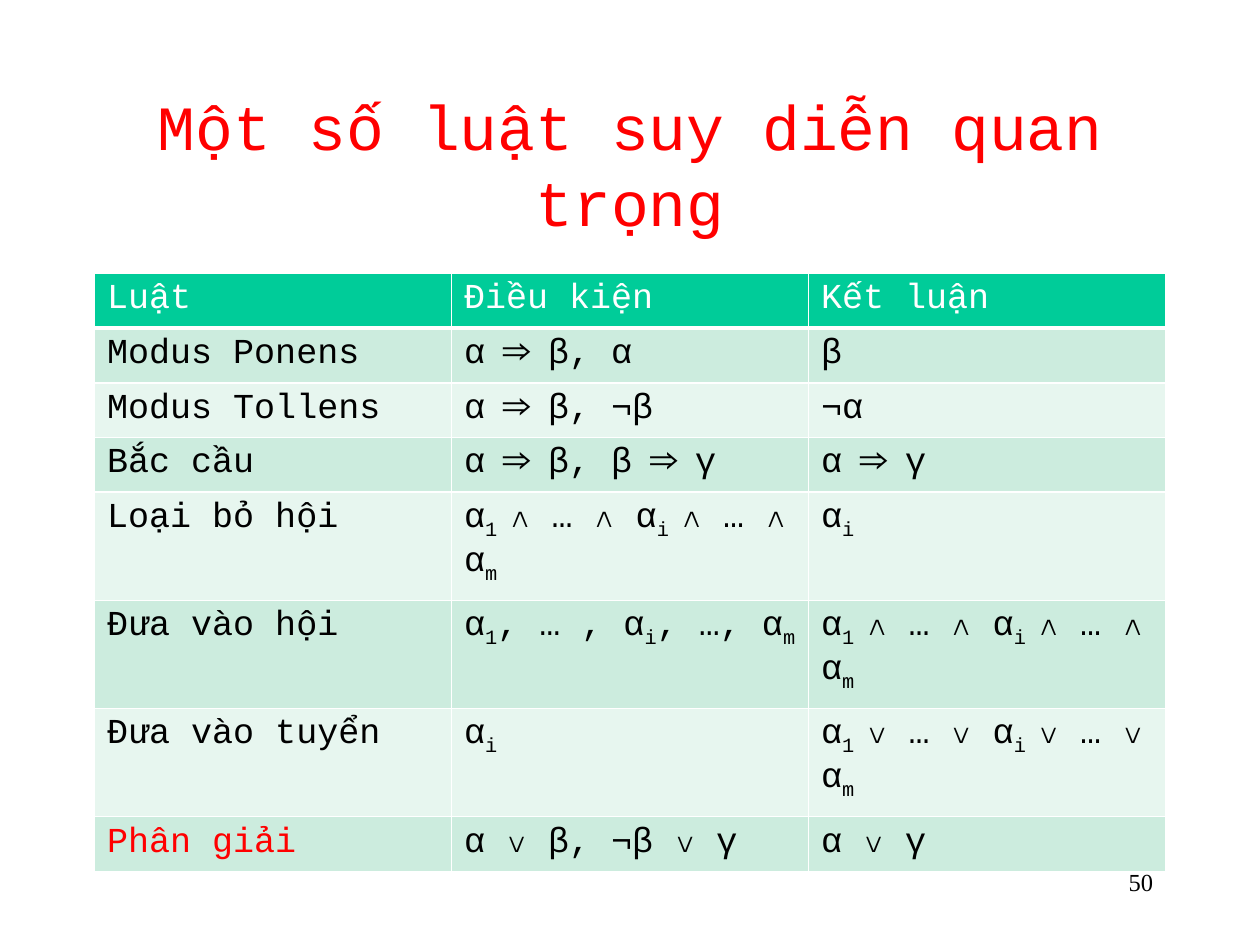
from lxml import etree
from pptx import Presentation
from pptx.dml.color import RGBColor
from pptx.enum.text import MSO_ANCHOR, PP_ALIGN
from pptx.oxml.ns import qn
from pptx.util import Inches, Pt

LEFT, CENTER, RIGHT = PP_ALIGN.LEFT, PP_ALIGN.CENTER, PP_ALIGN.RIGHT
TOP, MIDDLE = MSO_ANCHOR.TOP, MSO_ANCHOR.MIDDLE

RED = RGBColor(0xFF, 0x00, 0x00)
BLACK = RGBColor(0x00, 0x00, 0x00)
WHITE = RGBColor(0xFF, 0xFF, 0xFF)
GREEN = RGBColor(0x00, 0xCC, 0x99)
BANDS = (RGBColor(0xE7, 0xF6, 0xEF), RGBColor(0xCC, 0xEC, 0xDE))

SUBSCRIPT_MARK = "|"
CONJUNCTION = "α|1 |∧ … ∧ α|i |∧ … ∧ α|m"
DISJUNCTION = CONJUNCTION.replace("∧", "∨")
RULES = [
    ("Luật", "Điều kiện", "Kết luận"),
    ("Modus Ponens", "α ⇒ β, α", "β"),
    ("Modus Tollens", "α ⇒ β, ¬β", "¬α"),
    ("Bắc cầu", "α ⇒ β, β ⇒ γ", "α ⇒ γ"),
    ("Loại bỏ hội", CONJUNCTION, "α|i"),
    ("Đưa vào hội", "α|1|, … , α|i|, …, α|m", CONJUNCTION),
    ("Đưa vào tuyển", "α|i", DISJUNCTION),
    ("Phân giải", "α ∨ β, ¬β ∨ γ", "α ∨ γ"),
]
HIGHLIGHT = "Phân giải"


class SlideBuilder:
    code_font = "Courier New"
    number_font = "Times New Roman"
    table_size = 20

    def __init__(self, slide):
        self.slide = slide

    def set_text(self, paragraph, text, size, color, font_name, align=LEFT):
        paragraph.alignment = align
        font = paragraph.font
        font.name, font.size, font.bold = font_name, Pt(size), False
        font.color.rgb = color
        for index, part in enumerate(text.split(SUBSCRIPT_MARK)):
            run = paragraph.add_run()
            run.text = part
            if index % 2:
                run._r.get_or_add_rPr().set("baseline", "-25000")

    def text(self, box, text, size, color, font_name, align, anchor=TOP):
        shape = self.slide.shapes.add_textbox(*map(Inches, box))
        frame = shape.text_frame
        frame.word_wrap = True
        frame.vertical_anchor = anchor
        self.set_text(frame.paragraphs[0], text, size, color, font_name, align)

    def borders(self, cell, top_width, bottom_width):
        properties = cell._tc.get_or_add_tcPr()
        widths = {"a:lnL": 1, "a:lnR": 1, "a:lnT": top_width, "a:lnB": bottom_width}
        for tag, width in widths.items():
            line = etree.SubElement(properties, qn(tag), w=str(int(Pt(width))))
            fill = etree.SubElement(line, qn("a:solidFill"))
            etree.SubElement(fill, qn("a:srgbClr"), val=str(WHITE))

    def table(self, box, rows):
        shape = self.slide.shapes.add_table(
            len(rows), len(rows[0]), *map(Inches, box))
        for row_index, row in enumerate(rows):
            header = row_index == 0
            for column_index, text in enumerate(row):
                cell = shape.table.cell(row_index, column_index)
                self.borders(cell, 3 if row_index == 1 else 1, 3 if header else 1)
                cell.fill.solid()
                cell.fill.fore_color.rgb = GREEN if header else BANDS[row_index % 2]
                color = WHITE if header else RED if text == HIGHLIGHT else BLACK
                self.set_text(cell.text_frame.paragraphs[0], text,
                              self.table_size, color, self.code_font)


presentation = Presentation()
presentation.slide_width = Inches(10)
presentation.slide_height = Inches(7.5)
builder = SlideBuilder(presentation.slides.add_slide(presentation.slide_layouts[6]))
builder.text((0.75, 0.67, 8.5, 1.25), "Một số luật suy diễn quan trọng",
             36, RED, builder.code_font, CENTER, MIDDLE)
builder.text((7.17, 6.83, 2.08, 0.5), "50", 14, BLACK, builder.number_font, RIGHT)
builder.table((0.75, 2.17, 8.5, 3.47), RULES)
presentation.save("out.pptx")
